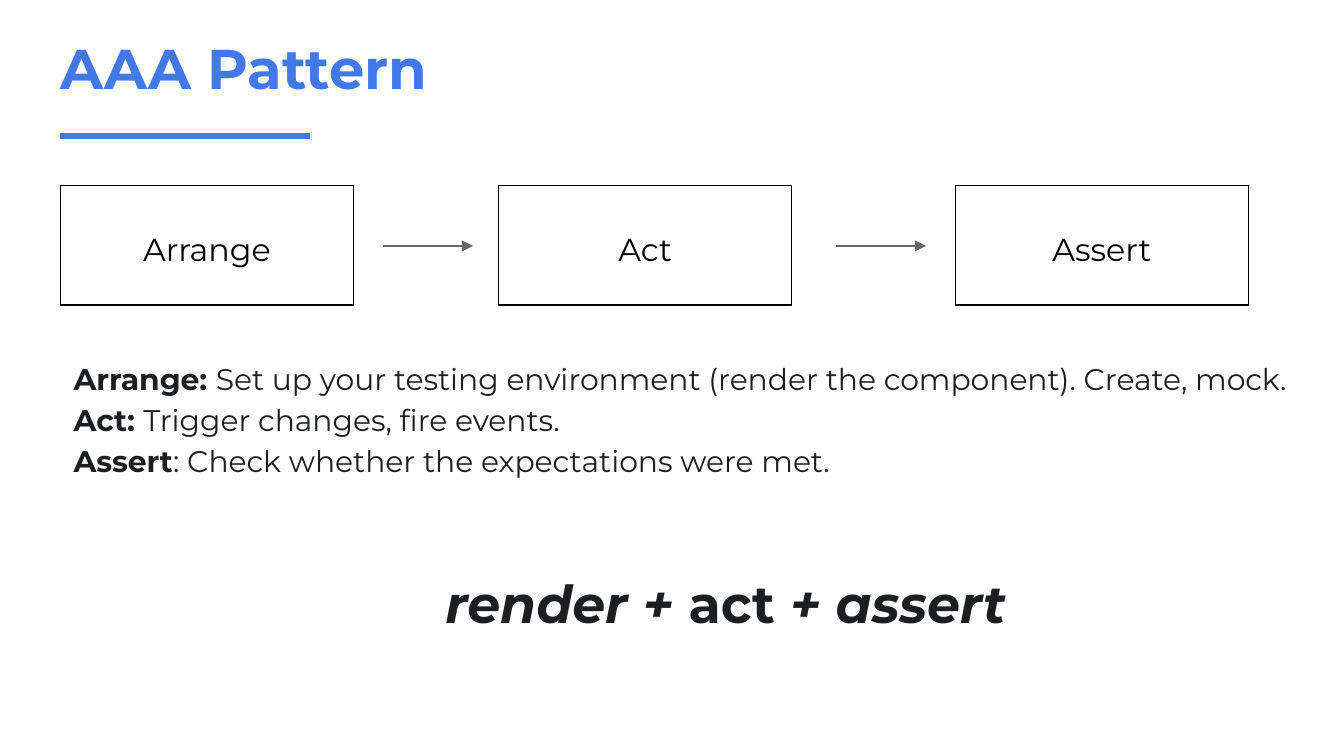
from lxml import etree
from pptx import Presentation
from pptx.dml.color import RGBColor
from pptx.enum.shapes import MSO_CONNECTOR as Connector, MSO_SHAPE as Shape
from pptx.enum.text import MSO_ANCHOR as Anchor, PP_ALIGN as Align
from pptx.oxml.ns import qn
from pptx.util import Inches, Pt

FONT = "Montserrat"
BLUE = RGBColor(0x42, 0x78, 0xE8)
BLACK = RGBColor(0, 0, 0)
GRAY = RGBColor(0x66, 0x66, 0x66)
INK = RGBColor(0x1C, 0x1E, 0x21)

LEFT = 0.45
STEP_TOP, STEP_WIDTH, STEP_HEIGHT = 1.38, 2.18, 0.89
STEPS = [("Arrange", LEFT), ("Act", 3.71), ("Assert", 7.11)]
ARROW_STARTS = [2.85, 6.22]
ARROW_LENGTH, ARROW_Y = 0.67, 1.83

# Each span is (text, bold, italic)
DEFINITIONS = [
    [("Arrange: ", True, False),
     ("Set up your testing environment (render the component). Create, mock.", False, False)],
    [("Act: ", True, False), ("Trigger changes, fire events.", False, False)],
    [("Assert", True, False), (": Check whether the expectations were met.", False, False)],
]
FORMULA = [("render + ", True, True), ("act ", True, False), ("+ assert", True, True)]


def set_frame(frame, left=0.1, top=0.1, right=0.1, bottom=0.1):
    frame.word_wrap = True
    frame.vertical_anchor = Anchor.TOP
    frame.margin_left, frame.margin_top = Inches(left), Inches(top)
    frame.margin_right, frame.margin_bottom = Inches(right), Inches(bottom)


def style(span, size, color, bold=False, italic=False):
    font = span.font
    font.name, font.size, font.bold, font.italic = FONT, Pt(size), bold, italic
    font.color.rgb = color


def add_line(page, start, end, y, color, width, arrow=False):
    line = page.shapes.add_connector(
        Connector.STRAIGHT, Inches(start), Inches(y), Inches(end), Inches(y))
    line.line.color.rgb = color
    line.line.width = Pt(width)
    if arrow:
        etree.SubElement(line.line._get_or_add_ln(), qn("a:tailEnd"), type="triangle")
    etree.SubElement(line._element.spPr, qn("a:effectLst"))


def add_title(page, text):
    box = page.shapes.add_textbox(Inches(LEFT), Inches(0.26), Inches(8.33), Inches(0.65))
    set_frame(box.text_frame, left=0, top=0.05, bottom=0.05)
    box.text_frame.text = text
    para = box.text_frame.paragraphs[0]
    para.line_spacing = 0.9
    style(para.runs[0], 30, BLUE, bold=True)


def add_step(page, label, left):
    box = page.shapes.add_shape(
        Shape.RECTANGLE, Inches(left), Inches(STEP_TOP), Inches(STEP_WIDTH), Inches(STEP_HEIGHT))
    box.shadow.inherit = False
    box.fill.background()
    box.line.color.rgb = BLACK
    box.line.width = Pt(0.75)
    set_frame(box.text_frame, top=0.33)
    box.text_frame.text = label
    para = box.text_frame.paragraphs[0]
    para.alignment = Align.CENTER
    style(para.runs[0], 17, BLACK)


def fill_para(para, spans, size):
    para.line_spacing = 1.15
    for text, bold, italic in spans:
        span = para.add_run()
        span.text = text
        style(span, size, INK, bold, italic)


def add_body(page):
    box = page.shapes.add_textbox(Inches(LEFT), Inches(2.54), Inches(9.4), Inches(2.85))
    frame = box.text_frame
    set_frame(frame)
    for index, spans in enumerate(DEFINITIONS):
        para = frame.add_paragraph() if index else frame.paragraphs[0]
        fill_para(para, spans, 16)

    # Closing formula, set apart and shifted by a first-line indent
    para = frame.add_paragraph()
    fill_para(para, FORMULA, 28)
    para.alignment = Align.CENTER
    para.space_before = Pt(44.5)
    properties = para._p.get_or_add_pPr()
    properties.set("marL", "0")
    properties.set("indent", str(Inches(0.5)))


def main():
    deck = Presentation()
    # Widescreen, 16 to 9
    deck.slide_width = Inches(10)
    deck.slide_height = Inches(10 * 9 / 16)
    page = deck.slides.add_slide(deck.slide_layouts[6])

    # Heading with its rule
    add_title(page, "AAA Pattern")
    add_line(page, LEFT, 2.31, 1.01, BLUE, 3)

    # Three steps joined by arrows
    for label, left in STEPS:
        add_step(page, label, left)
    for start in ARROW_STARTS:
        add_line(page, start, start + ARROW_LENGTH, ARROW_Y, GRAY, 0.75, arrow=True)

    # Definitions and formula
    add_body(page)
    deck.save("out.pptx")


if __name__ == "__main__":
    main()
